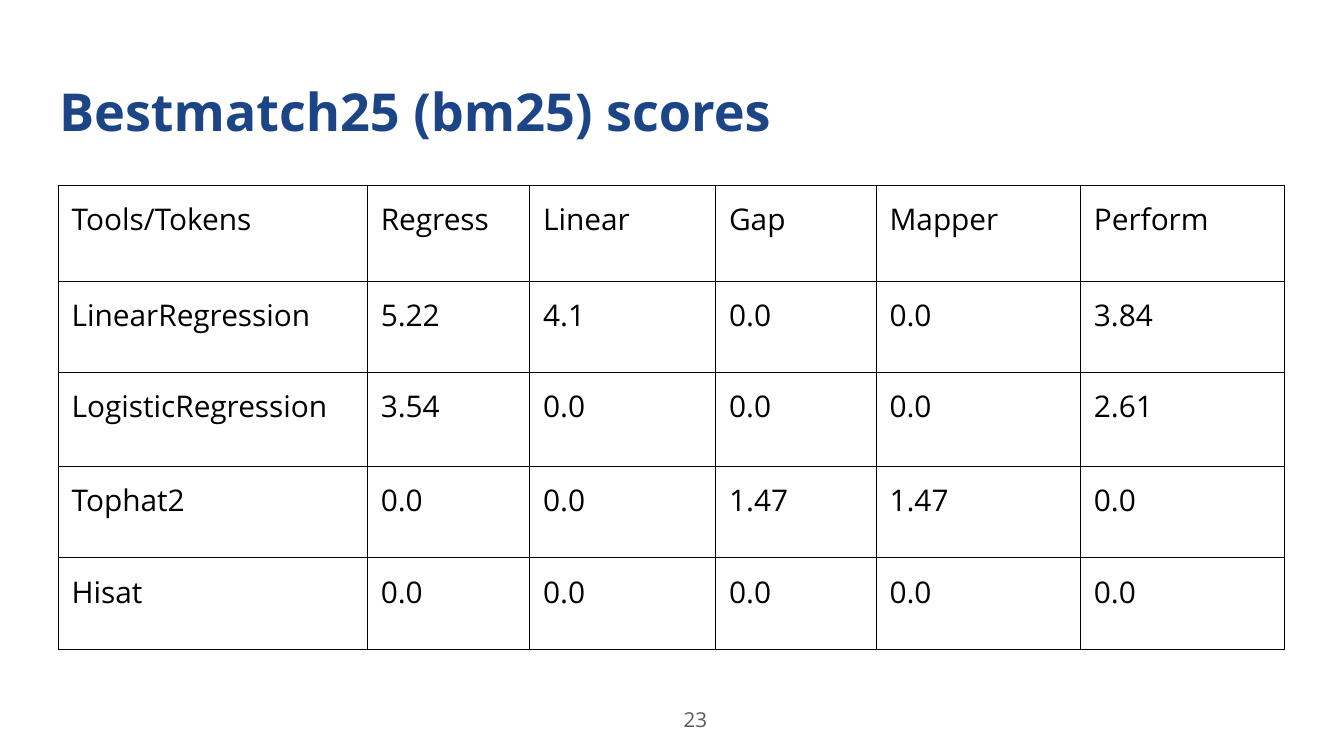
from dataclasses import dataclass
from lxml.etree import SubElement
from pptx import Presentation
from pptx.dml.color import RGBColor
from pptx.enum.text import MSO_ANCHOR, MSO_AUTO_SIZE, PP_ALIGN
from pptx.oxml.ns import qn
from pptx.util import Pt


@dataclass(frozen=True)
class Theme:
    face: str = "Open Sans"
    blue: str = "1C4587"
    black: str = "000000"
    grey: str = "595959"
    head: float = 28
    body: float = 16
    foot: float = 11
    rule: float = 0.75
    pad: float = 7.2


def assign(item, values):
    for name, value in values.items():
        setattr(item, name, value)


class Deck:
    def __init__(self, theme):
        self.theme = theme
        self.file = Presentation()
        assign(self.file, {"slide_width": Pt(720), "slide_height": Pt(405)})
        self.slide = self.file.slides.add_slide(self.file.slide_layouts[5])

    def inset(self, item):
        sides = ("left", "top", "right", "bottom")
        assign(item, {f"margin_{side}": Pt(self.theme.pad) for side in sides})

    def label(self, frame, text, size, color, bold=False, align=PP_ALIGN.LEFT):
        para = frame.paragraphs[0]
        para.alignment = align
        run = para.add_run()
        run.text = text
        assign(run.font, {"name": self.theme.face, "size": Pt(size), "bold": bold})
        run.font.color.rgb = RGBColor.from_string(color)

    def frame(self, shape, anchor):
        frame = shape.text_frame
        assign(frame, {"word_wrap": True, "auto_size": MSO_AUTO_SIZE.NONE,
                       "vertical_anchor": anchor})
        self.inset(frame)
        return frame

    def title(self, text, left, top, width, height):
        shape = self.slide.shapes.title
        assign(shape, {"left": Pt(left), "top": Pt(top),
                       "width": Pt(width), "height": Pt(height)})
        frame = self.frame(shape, MSO_ANCHOR.TOP)
        self.label(frame, text, self.theme.head, self.theme.blue, bold=True)

    def number(self, text, left, top, width, height):
        shape = self.slide.shapes.add_textbox(Pt(left), Pt(top), Pt(width), Pt(height))
        frame = self.frame(shape, MSO_ANCHOR.MIDDLE)
        self.label(frame, text, self.theme.foot, self.theme.grey, align=PP_ALIGN.RIGHT)

    def border(self, cell):
        props = cell._tc.get_or_add_tcPr()
        for tag in ("a:lnL", "a:lnR", "a:lnT", "a:lnB"):
            line = SubElement(props, qn(tag), w=str(Pt(self.theme.rule)))
            fill = SubElement(line, qn("a:solidFill"))
            SubElement(fill, qn("a:srgbClr"), val=self.theme.black)

    def table(self, data, left, top, widths, heights):
        shape = self.slide.shapes.add_table(
            len(heights), len(widths), Pt(left), Pt(top),
            Pt(sum(widths)), Pt(sum(heights)))
        grid = shape.table
        assign(grid, {"first_row": False, "horz_banding": False})
        for col, width in zip(grid.columns, widths):
            col.width = Pt(width)
        for row, height, texts in zip(grid.rows, heights, data):
            row.height = Pt(height)
            for cell, text in zip(row.cells, texts):
                self.inset(cell)
                self.border(cell)
                cell.fill.background()
                self.label(cell.text_frame, text, self.theme.body, self.theme.black)


def main():
    scores = [
        ("Tools/Tokens", "Regress", "Linear", "Gap", "Mapper", "Perform"),
        ("LinearRegression", "5.22", "4.1", "0.0", "0.0", "3.84"),
        ("LogisticRegression", "3.54", "0.0", "0.0", "0.0", "2.61"),
        ("Tophat2", "0.0", "0.0", "1.47", "1.47", "0.0"),
        ("Hisat", "0.0", "0.0", "0.0", "0.0", "0.0"),
    ]
    deck = Deck(Theme())
    deck.title("Bestmatch25 (bm25) scores", 24.5, 35.3, 671, 45.4)
    deck.table(scores, 31.2, 99.3,
               widths=(165.6, 87, 99.6, 86, 109.5, 109.5),
               heights=(51.4, 49, 50.2, 49, 49))
    deck.number("23", 342.7, 370, 43.2, 31)
    deck.file.save("out.pptx")


if __name__ == "__main__":
    main()
